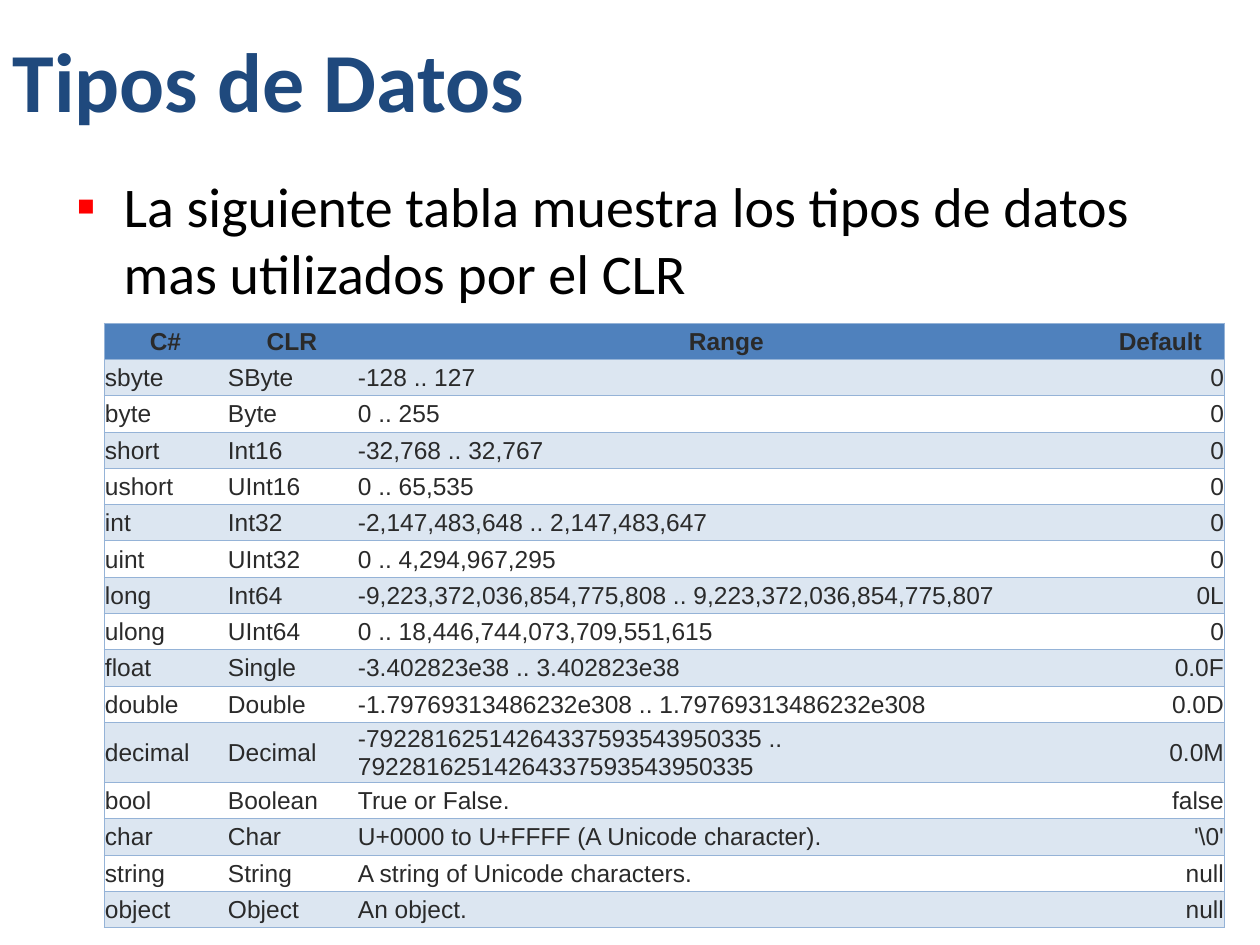
from lxml.etree import SubElement as Sub
from pptx import Presentation
from pptx.dml.color import RGBColor
from pptx.enum.text import MSO_ANCHOR as Anchor, MSO_AUTO_SIZE as Fit, PP_ALIGN as Align
from pptx.oxml import parse_xml
from pptx.oxml.ns import nsdecls, qn
from pptx.util import Pt

SCALE = 914400 // 126
NAVY = RGBColor(0x1F, 0x49, 0x7D)
BLACK = RGBColor(0, 0, 0)
RED = RGBColor(0xFF, 0, 0)
INK = RGBColor(0x2A, 0x2A, 0x2A)
BLUE = RGBColor(0x4F, 0x81, 0xBD)
PALE = RGBColor(0xDC, 0xE6, 0xF1)
EDGE = RGBColor(0x95, 0xB3, 0xD7)
NO_STYLE = "{2D5ABB26-0587-4C30-8999-92F81FD0307C}"

WIDTHS = [123, 130, 739, 129]
ROW_H = 545 * SCALE // 15
TALL_H = 60 * SCALE
ROWS = [
    ("C#", "CLR", "Range", "Default"),
    ("sbyte", "SByte", "-128 .. 127", "0"),
    ("byte", "Byte", "0 .. 255", "0"),
    ("short", "Int16", "-32,768 .. 32,767", "0"),
    ("ushort", "UInt16", "0 .. 65,535", "0"),
    ("int", "Int32", "-2,147,483,648 .. 2,147,483,647", "0"),
    ("uint", "UInt32", "0 .. 4,294,967,295", "0"),
    ("long", "Int64", "-9,223,372,036,854,775,808 .. 9,223,372,036,854,775,807", "0L"),
    ("ulong", "UInt64", "0 .. 18,446,744,073,709,551,615", "0"),
    ("float", "Single", "-3.402823e38 .. 3.402823e38", "0.0F"),
    ("double", "Double", "-1.79769313486232e308 .. 1.79769313486232e308", "0.0D"),
    ("decimal", "Decimal",
     "-79228162514264337593543950335 .. 79228162514264337593543950335", "0.0M"),
    ("bool", "Boolean", "True or False.", "false"),
    ("char", "Char", "U+0000 to U+FFFF (A Unicode character).", r"'\0'"),
    ("string", "String", "A string of Unicode characters.", "null"),
    ("object", "Object", "An object.", "null"),
]


def px(n):
    return n * SCALE


def place(shape, left, top, width, height):
    shape.left, shape.top = px(left), px(top)
    shape.width, shape.height = px(width), px(height)


def add_run(para, text, font, size, color, bold=False):
    run = para.add_run()
    run.text = text
    run.font.name = font
    run.font.size = Pt(size)
    run.font.bold = bold
    run.font.color.rgb = color


def add_bullet(para, char, color, indent):
    props = para._p.get_or_add_pPr()
    props.set("marL", str(px(indent)))
    props.set("indent", str(-px(indent)))
    tint = Sub(props, qn("a:buClr"))
    Sub(tint, qn("a:srgbClr"), val=str(color))
    Sub(props, qn("a:buFont"), typeface="Arial")
    Sub(props, qn("a:buChar"), char=char)


def add_title(slide):
    title = slide.shapes.title
    place(title, 0, 0, 1260, 158)
    frame = title.text_frame
    frame.auto_size = Fit.NONE
    frame.vertical_anchor = Anchor.MIDDLE
    para = frame.paragraphs[0]
    para.alignment = Align.LEFT
    add_run(para, "Tipos de Datos", "Calibri", 48, NAVY, True)


def add_body(slide):
    body = slide.placeholders[1]
    place(body, 64, 165, 1134, 624)
    body.text_frame.auto_size = Fit.NONE
    para = body.text_frame.paragraphs[0]
    add_bullet(para, "▪", RED, 47)
    add_run(para, "La siguiente tabla muestra los tipos de datos mas utilizados por el CLR",
            "Calibri", 32, BLACK)


def set_edges(cell, sides):
    """Draw thin lines on the sides, named from L, R, T, B in that order."""
    props = cell._tc.get_or_add_tcPr()
    for i, side in enumerate(sides):
        props.insert(i, parse_xml(
            f'<a:ln{side} {nsdecls("a")} w="6350"><a:solidFill>'
            f'<a:srgbClr val="{EDGE}"/></a:solidFill></a:ln{side}>'))


def fill_cell(cell, text, row, col):
    head, last = row == 0, col == len(WIDTHS) - 1
    cell.margin_left = cell.margin_right = cell.margin_top = px(1)
    cell.margin_bottom = 0
    cell.vertical_anchor = Anchor.MIDDLE
    if head or row % 2:
        cell.fill.solid()
        cell.fill.fore_color.rgb = BLUE if head else PALE
    else:
        cell.fill.background()
    set_edges(cell, "LTB" if col == 0 else "RTB" if last else "TB")
    para = cell.text_frame.paragraphs[0]
    para.alignment = Align.CENTER if head else Align.RIGHT if last else Align.LEFT
    add_run(para, text, "Arial", 14, INK, head)


def add_types(slide):
    frame = slide.shapes.add_table(len(ROWS), len(WIDTHS), px(104), px(323),
                                   px(sum(WIDTHS)), px(605))
    table = frame.table
    table._tbl.tblPr.find(qn("a:tableStyleId")).text = NO_STYLE
    table.horz_banding = False
    for col, width in zip(table.columns, WIDTHS):
        col.width = px(width)
    for r, texts in enumerate(ROWS):
        table.rows[r].height = TALL_H if texts[0] == "decimal" else ROW_H
        for c, text in enumerate(texts):
            fill_cell(table.cell(r, c), text, r, c)


def main():
    deck = Presentation()
    deck.slide_width, deck.slide_height = px(1260), px(945)
    slide = deck.slides.add_slide(deck.slide_layouts[1])
    add_title(slide)
    add_body(slide)
    add_types(slide)
    deck.save("out.pptx")


if __name__ == "__main__":
    main()
